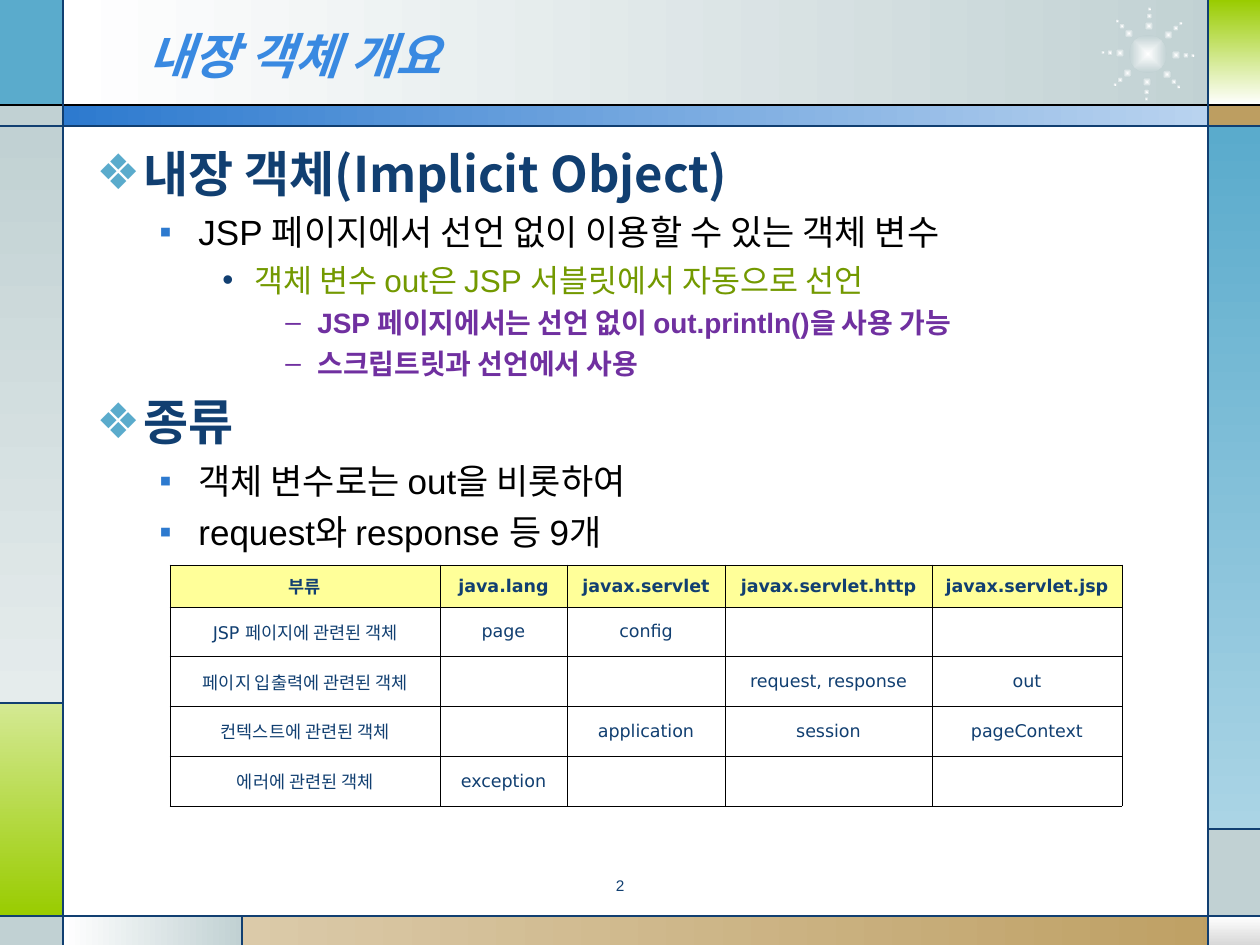
from math import cos, radians, sin

from lxml import etree
from pptx import Presentation
from pptx.dml.color import RGBColor
from pptx.enum.shapes import MSO_CONNECTOR, MSO_SHAPE
from pptx.enum.text import MSO_ANCHOR, PP_ALIGN
from pptx.oxml.ns import qn
from pptx.util import Pt

RECT, OVAL = MSO_SHAPE.RECTANGLE, MSO_SHAPE.OVAL
STRAIGHT = MSO_CONNECTOR.STRAIGHT
MIDDLE, TOP = MSO_ANCHOR.MIDDLE, MSO_ANCHOR.TOP
LEFT, CENTER = PP_ALIGN.LEFT, PP_ALIGN.CENTER

SCALE = 914400 / 126
KOREAN = "Noto Sans CJK KR"
HEX = {
    "white": "FFFFFF", "black": "000000", "navy": "113F71", "title": "3989E1",
    "blue": "2D7ACF", "pale": "B9D3EF", "sky": "5AABCC", "mist": "AAD4E5",
    "gray": "C1D1D3", "fog": "E5ECEC", "silver": "D8D8D8", "lime": "99CC00",
    "mint": "D4E993", "tan": "BD9E61", "sand": "DBCAA9", "olive": "739900",
    "purple": "7030A0", "yellow": "FFFF99",
}


def px(*vals):
    return [round(v * SCALE) for v in vals]


def rgb(name):
    return RGBColor.from_string(HEX[name])


def sub(node, tag, **attrs):
    return etree.SubElement(node, qn(tag), attrs)


def paint(shape, first, last=None, angle=0):
    """Fill with one colour, or blend two; angle counts anticlockwise."""
    fill = shape.fill
    if last is None:
        fill.solid()
        fill.fore_color.rgb = rgb(first)
        return
    fill.gradient()
    fill.gradient_angle = angle
    for stop, name in zip(fill.gradient_stops, (first, last)):
        stop.color.rgb = rgb(name)


def block(shapes, kind, box, *blend):
    shape = shapes.add_shape(kind, *px(*box))
    shape.shadow.inherit = False
    shape.line.fill.background()
    paint(shape, *blend)
    return shape


def rule(slide, x1, y1, x2, y2, color="navy"):
    line = slide.shapes.add_connector(STRAIGHT, *px(x1, y1, x2, y2))
    line.line.color.rgb = rgb(color)
    line.line.width = Pt(0.75)
    sub(line._element.spPr, "a:effectLst")


def write(para, text, size, color, font="Arial", bold=False, italic=False,
          align=LEFT):
    para.alignment = align
    run = para.add_run()
    run.text = text
    face = run.font
    face.size, face.name, face.bold, face.italic = Pt(size), font, bold, italic
    face.color.rgb = rgb(color)
    sub(run._r.get_or_add_rPr(), "a:ea", typeface=KOREAN)


def frame_text(slide, box, anchor=TOP):
    frame = slide.shapes.add_textbox(*px(*box)).text_frame
    frame.word_wrap = True
    frame.vertical_anchor = anchor
    return frame


def border(slide, box):
    """Coloured panels around the page, with the rules between them."""
    x, y, w, h = box
    left, right, base = 63, 1208, 916
    side, low = w - right, h - base
    panels = [
        (left, 0, 1168, 106, "white", "gray"),
        (0, 0, left, 106, "sky"),
        (0, 105, left, 21, "gray"),
        (0, 126, left, 577, "gray", "fog", 270),
        (0, 703, left, 213, "mint", "lime", 270),
        (0, base, left, low, "gray"),
        (left, base, 179, low, "white", "gray"),
        (242, base, w - 242, low, "sand", "tan"),
        (right, base, side, low, "white", "silver", 270),
        (right, 829, side, 87, "gray"),
        (right, 126, side, 703, "sky", "mist", 270),
        (right, 105, side, 21, "tan"),
        (right, 0, side, 105, "lime", "white", 270),
        (left, 105, right - left, 21, "blue", "pale"),
    ]
    for dx, dy, pw, ph, *blend in panels:
        block(slide.shapes, RECT, (x + dx, y + dy, pw, ph), *blend)
    rule(slide, x, y + 105, x + w, y + 105, "black")
    for x1, y1, x2, y2 in [
        (0, 126, w, 126), (0, base, w, base), (left, 0, left, h),
        (right, 0, right, h), (left, 703, 0, 703), (242, base, 242, h),
        (right, 829, w, 829),
    ]:
        rule(slide, x + x1, y + y1, x + x2, y + y2)


def star(slide, box):
    """A glowing core with eight rays of three shrinking dots."""
    x, y, w, h = box
    cx, cy = x + w / 2, y + h / 2
    group = slide.shapes.add_group_shape()
    dots = [(0, 0, 38)]
    for ray in range(8):
        turn = radians(45 * ray + 2)
        dots += [(r * cos(turn), r * sin(turn), size)
                 for r, size in ((28, 9), (38, 6), (45, 4))]
    for dx, dy, size in dots:
        spot = (cx + dx - size / 2, cy + dy - size / 2, size, size)
        dot = block(group.shapes, OVAL, spot, "white", "gray")
        grad = dot._element.spPr.find(qn("a:gradFill"))
        grad.remove(grad.find(qn("a:lin")))
        glow = sub(grad, "a:path", path="rect")
        sub(glow, "a:fillToRect", l="50000", t="50000", r="50000", b="50000")


def heading(slide, box):
    frame = frame_text(slide, box, MIDDLE)
    write(frame.paragraphs[0], "내장 객체 개요", 28, "title", font=KOREAN,
          bold=True, italic=True)


def outline(slide, box, items):
    # bullet, bullet colour, left px, hang px, space before, text format
    levels = [
        ("❖", "sky", 47, 47, 7,
         dict(size=28, color="navy", font=KOREAN, bold=True)),
        ("▪", "blue", 102, 39, 5, dict(size=20, color="black")),
        ("•", "navy", 158, 32, 4.5, dict(size=18, color="olive")),
        ("–", "purple", 221, 32, 4, dict(size=16, color="purple", bold=True)),
    ]
    frame = frame_text(slide, box)
    for i, (level, text) in enumerate(items):
        mark, tint, left, hang, gap, style = levels[level]
        para = frame.add_paragraph() if i else frame.paragraphs[0]
        write(para, text, **style)
        para.level = level
        para.space_before = Pt(gap)
        props = para._p.get_or_add_pPr()
        margin, indent = px(left, -hang)
        props.set("marL", str(margin))
        props.set("indent", str(indent))
        sub(sub(props, "a:buClr"), "a:srgbClr", val=HEX[tint])
        sub(props, "a:buFont", typeface="Arial")
        sub(props, "a:buChar", char=mark)


def edge(cell):
    props = cell._tc.get_or_add_tcPr()
    for tag in ("a:lnL", "a:lnR", "a:lnT", "a:lnB"):
        line = sub(props, tag, w=str(Pt(0.45)))
        sub(sub(line, "a:solidFill"), "a:srgbClr", val=HEX["black"])


def grid(slide, box, rows, widths, heights):
    table = slide.shapes.add_table(len(rows), len(widths), *px(*box)).table
    for col, width in zip(table.columns, px(*widths)):
        col.width = width
    for row, height in zip(table.rows, px(*heights)):
        row.height = height
    for r, row in enumerate(rows):
        for c, text in enumerate(row):
            cell = table.cell(r, c)
            edge(cell)
            if r:
                cell.fill.background()
            else:
                paint(cell, "yellow")
            cell.vertical_anchor = MIDDLE
            cell.margin_left, cell.margin_right = px(8, 8)
            cell.margin_top, cell.margin_bottom = px(6, 6)
            if text:
                write(cell.text_frame.paragraphs[0], text, 10, "navy",
                      font="DejaVu Sans", bold=r == 0, align=CENTER)


def number(slide, box):
    para = frame_text(slide, box).paragraphs[0]
    para.line_spacing = 0.8
    write(para, "2", 8.8, "navy", align=CENTER)


def main():
    deck = Presentation()
    deck.slide_width, deck.slide_height = px(1260, 945)
    slide = deck.slides.add_slide(deck.slide_layouts[6])
    border(slide, (0, 0, 1260, 945))
    star(slide, (1101, 7, 94, 94))
    heading(slide, (136, 16, 924, 78))
    outline(slide, (84, 137, 1105, 709), [
        (0, "내장 객체(Implicit Object)"),
        (1, "JSP 페이지에서 선언 없이 이용할 수 있는 객체 변수"),
        (2, "객체 변수 out은 JSP 서블릿에서 자동으로 선언"),
        (3, "JSP 페이지에서는 선언 없이 out.println()을 사용 가능"),
        (3, "스크립트릿과 선언에서 사용"),
        (0, "종류"),
        (1, "객체 변수로는 out을 비롯하여"),
        (1, "request와 response 등 9개"),
    ])
    number(slide, (473, 873, 294, 34))
    grid(slide, (170, 565, 952, 234), [
        ("부류", "java.lang", "javax.servlet", "javax.servlet.http",
         "javax.servlet.jsp"),
        ("JSP 페이지에 관련된 객체", "page", "config", "", ""),
        ("페이지 입출력에 관련된 객체", "", "", "request, response", "out"),
        ("컨텍스트에 관련된 객체", "", "application", "session", "pageContext"),
        ("에러에 관련된 객체", "exception", "", "", ""),
    ], (270, 127, 158, 207, 190), (42, 48, 48, 48, 48))
    deck.save("out.pptx")


if __name__ == "__main__":
    main()
